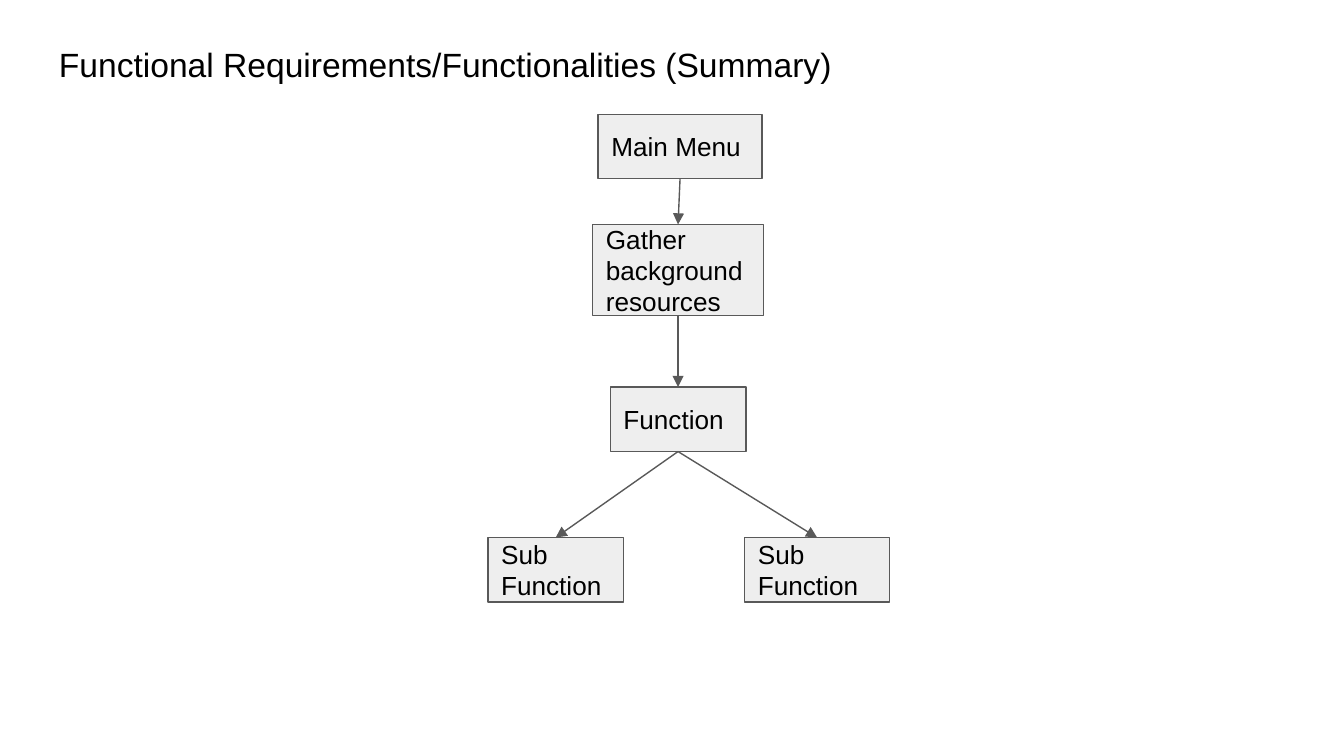
from dataclasses import dataclass

from pptx import Presentation
from pptx.dml.color import RGBColor
from pptx.enum.shapes import MSO_CONNECTOR as Connector, MSO_SHAPE as Shape
from pptx.enum.text import MSO_ANCHOR as Anchor, PP_ALIGN as Align
from pptx.oxml.ns import qn
from pptx.util import Inches, Pt
from lxml.etree import SubElement


@dataclass(frozen=True)
class Theme:
    font: str = "Arial"
    text: RGBColor = RGBColor(0, 0, 0)
    fill: RGBColor = RGBColor(0xEE, 0xEE, 0xEE)
    line: RGBColor = RGBColor(0x59, 0x59, 0x59)
    line_width: float = 0.75
    title_size: int = 18
    step_size: int = 14


THEME = Theme()

# Content: each step has its label and its left, top, width, height
TITLE = "Functional Requirements/Functionalities (Summary)"
TITLE_BOX = (0.34, 0.23, 9.32, 0.63)
STEPS = {
    "menu": ("Main Menu", (4.45, 0.85, 1.22, 0.48)),
    "gather": ("Gather background resources", (4.41, 1.67, 1.27, 0.68)),
    "function": ("Function", (4.54, 2.88, 1.01, 0.48)),
    "sub_left": ("Sub Function", (3.63, 4, 1.01, 0.48)),
    "sub_right": ("Sub Function", (5.54, 4, 1.08, 0.48)),
}
FLOW = [("menu", "gather"), ("gather", "function"),
        ("function", "sub_right"), ("function", "sub_left")]
BOTTOM, TOP = 2, 0  # connection sites of a rectangle


def write(holder, text, size, anchor):
    frame = holder.text_frame
    inset = Inches(0.1)
    settings = {"word_wrap": True, "vertical_anchor": anchor,
                "margin_left": inset, "margin_right": inset,
                "margin_top": inset, "margin_bottom": inset}
    for name, value in settings.items():
        setattr(frame, name, value)
    paragraph = frame.paragraphs[0]
    paragraph.alignment = Align.LEFT
    run = paragraph.add_run()
    run.text = text
    for name, value in {"name": THEME.font, "size": Pt(size)}.items():
        setattr(run.font, name, value)
    run.font.color.rgb = THEME.text


def outline(part):
    part.line.color.rgb = THEME.line
    part.line.width = Pt(THEME.line_width)


def add_step(slide, label, box):
    step = slide.shapes.add_shape(Shape.RECTANGLE, *map(Inches, box))
    step.shadow.inherit = False
    step.fill.solid()
    step.fill.fore_color.rgb = THEME.fill
    outline(step)
    write(step, label, THEME.step_size, Anchor.MIDDLE)
    return step


def add_arrow(slide, source, target):
    arrow = slide.shapes.add_connector(Connector.STRAIGHT, 0, 0, 0, 0)
    arrow.begin_connect(source, BOTTOM)
    arrow.end_connect(target, TOP)
    outline(arrow)
    line = arrow._element.spPr.find(qn("a:ln"))
    SubElement(line, qn("a:tailEnd"), type="triangle")
    SubElement(arrow._element.spPr, qn("a:effectLst"))


# Slide, 16:9
deck = Presentation()
deck.slide_width = Inches(10)
deck.slide_height = deck.slide_width * 9 // 16
slide = deck.slides.add_slide(deck.slide_layouts[6])

# Title
title = slide.shapes.add_textbox(*map(Inches, TITLE_BOX))
write(title, TITLE, THEME.title_size, Anchor.TOP)

# Flowchart
steps = {key: add_step(slide, *step) for key, step in STEPS.items()}
for source, target in FLOW:
    add_arrow(slide, steps[source], steps[target])

deck.save("out.pptx")
